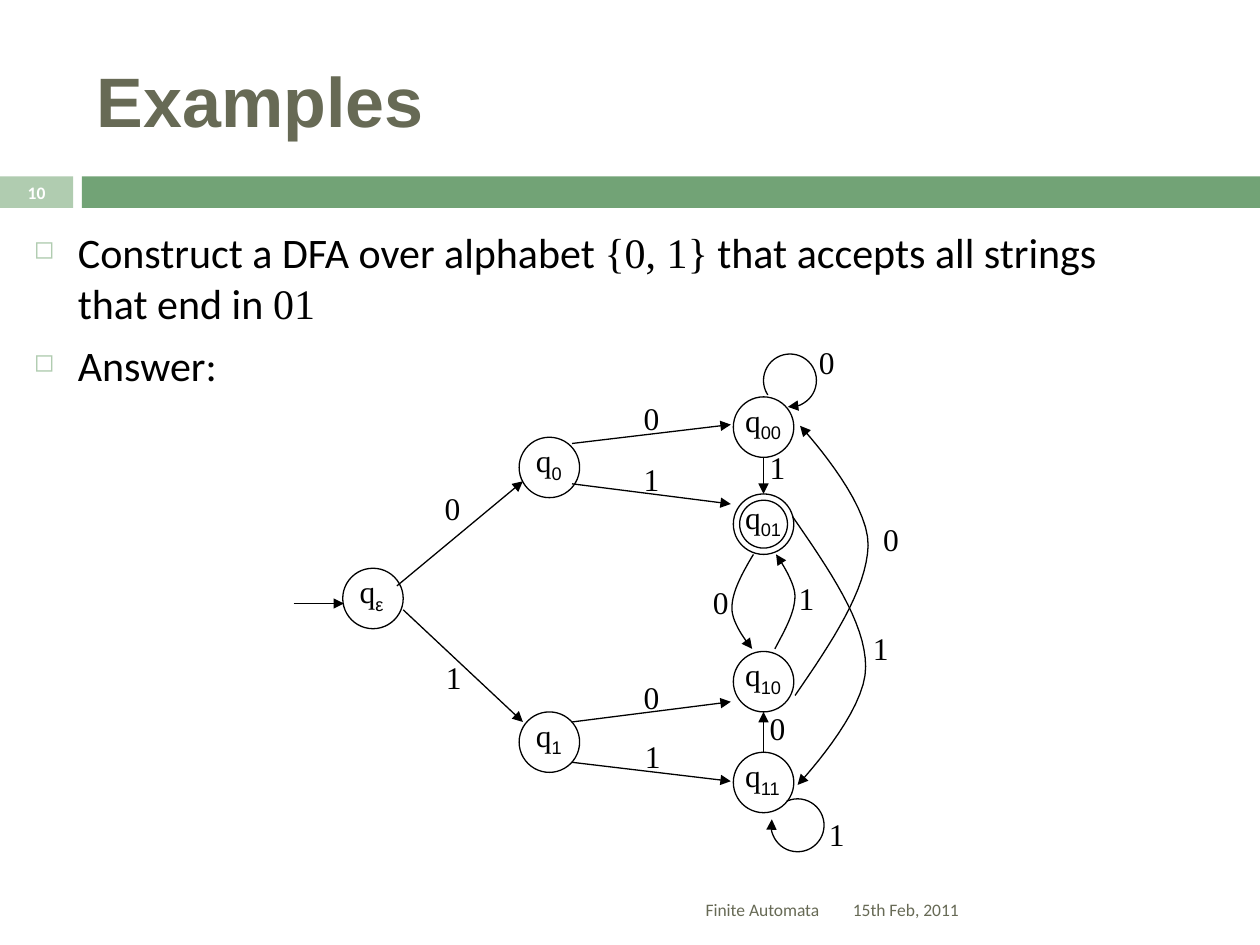
from dataclasses import dataclass

from lxml import etree
from pptx import Presentation
from pptx import util as u
from pptx.dml.color import RGBColor
from pptx.enum import shapes, text
from pptx.oxml.ns import qn


@dataclass(frozen=True)
class Theme:
    """Colours, fonts and type sizes of the slide."""
    ink: str = "000000"
    paper: str = "FFFFFF"
    olive: str = "676A55"
    green: str = "72A376"
    pale: str = "B0CCB0"
    sans: str = "Calibri"
    serif: str = "Times New Roman"
    head: str = "Arial"
    title: int = 40
    body: int = 24
    label: int = 18
    small: int = 10
    hairline: float = 0.75


T = Theme()
W, H = u.Inches(10), u.Inches(7.5)
COLS, ROWS = 100, 75
NODE, INNER = 4.8, 3.8
LOOP = 4.2

NODES = {
    "ε": (29.6, 47.5), "0": (43.6, 37.1), "1": (43.6, 58.9),
    "00": (60.6, 33.9), "01": (60.6, 41.6),
    "10": (60.6, 54.1), "11": (60.6, 62.1),
}
STRAIGHT = [
    ((23.3, 47.9), (27.3, 47.9), None, None),
    ((31.5, 46.5), (41.5, 38.2), "0", (34.3, 38.3)),
    ((32, 48.4), (41.5, 57.3), "1", (34.4, 51.7)),
    ((45.4, 35.2), (58, 33.7), "0", (50.1, 31.2)),
    ((45.4, 38.4), (58, 40), "1", (50.1, 36)),
    ((45.4, 57.3), (58, 55.7), "0", (50.1, 53.3)),
    ((45.4, 60.5), (58, 62), "1", (50.2, 58)),
    ((60.6, 36.3), (60.6, 39.2), "1", (60.1, 35.1)),
    ((60.6, 59.8), (60.6, 56.5), "0", (60.1, 55.8)),
]
CURVED = [
    ([(61.5, 51.5), (62.3, 50), (63.1, 48.6), (63.1, 47.3),
      (63.1, 46.1), (61.6, 44), (61.6, 44)], "1", (62.4, 45.5)),
    ([(59.8, 44), (58.9, 45.5), (58.1, 47), (58.1, 48.2),
      (58, 49.5), (59.7, 51.5), (59.7, 51.5)], "0", (55.6, 45.8)),
    ([(62.9, 41), (65.8, 45.2), (68.7, 49.4), (68.7, 52.9),
      (68.8, 56.5), (63.3, 62.3), (63.3, 62.3)], "1", (68.3, 49.4)),
    ([(63.1, 55.2), (66, 51), (68.8, 46.8), (68.9, 43.3),
      (69, 39.7), (63.5, 33.8), (63.5, 33.8)], "0", (69.1, 40.8)),
]
LOOPS = [((60.6, 28.1), 329.8, "0", (64, 26.7)),
         ((61.2, 63.4), 68.4, "1", (64.8, 64.2))]


def x(cols):
    """Turn grid columns into a length."""
    return int(W * cols / COLS)


def y(rows):
    """Turn grid rows into a length."""
    return int(H * rows / ROWS)


def rgb(code):
    """Turn a hex code into a colour."""
    return RGBColor.from_string(code)


def style(sp, fill=None, line=None):
    """Set the fill and line of a shape and drop its shadow."""
    sp.shadow.inherit = False
    if fill:
        sp.fill.solid()
        sp.fill.fore_color.rgb = rgb(fill)
    else:
        sp.fill.background()
    if line:
        sp.line.color.rgb = rgb(line)
        sp.line.width = u.Pt(T.hairline)
    else:
        sp.line.fill.background()
    return sp


def arrowhead(sp):
    """Put a triangle at the end of a line."""
    etree.SubElement(sp.line._get_or_add_ln(), qn("a:tailEnd"), type="triangle")


def shape(s, kind, left, top, width, height, **look):
    """Add a preset shape on the grid."""
    return style(s.shapes.add_shape(kind, x(left), y(top), x(width), y(height)), **look)


def add_run(p, words, size, font=T.sans, color=T.ink, bold=False, sub=False):
    """Add a formatted run to a paragraph."""
    r = p.add_run()
    r.text = words
    f = r.font
    f.size, f.name, f.bold = u.Pt(size), font, bold
    f.color.rgb = rgb(color)
    if sub:
        f._element.set("baseline", "-25000")


def text_box(s, left, top, width, height, wrap=True, anchor=text.MSO_ANCHOR.TOP):
    """Add an empty text box and return its frame."""
    tf = s.shapes.add_textbox(x(left), y(top), x(width), y(height)).text_frame
    tf.word_wrap, tf.vertical_anchor = wrap, anchor
    if not wrap:
        tf.auto_size = text.MSO_AUTO_SIZE.SHAPE_TO_FIT_TEXT
    return tf


def caption(s, box, words, align=text.PP_ALIGN.LEFT, **look):
    """Add one vertically centred line of text."""
    p = text_box(s, *box, anchor=text.MSO_ANCHOR.MIDDLE).paragraphs[0]
    p.alignment = align
    add_run(p, words, **look)


def label(s, words, left, top, width=3.2, sub=None):
    """Add a diagram label with an optional subscript."""
    p = text_box(s, left, top, width, 4, wrap=False).paragraphs[0]
    add_run(p, words, T.label, T.serif)
    if sub:
        add_run(p, sub, T.label, T.head, sub=True)


def bullet(p, runs, before=0):
    """Fill a paragraph as a square-bulleted item."""
    pPr = p._p.get_or_add_pPr()
    pPr.set("marL", str(x(3.5)))
    pPr.set("indent", str(-x(3.5)))
    etree.SubElement(etree.SubElement(pPr, qn("a:buClr")), qn("a:srgbClr"), val=T.pale)
    etree.SubElement(pPr, qn("a:buSzPct"), val="60000")
    etree.SubElement(pPr, qn("a:buChar"), char="◻")
    p.space_before = u.Pt(before)
    for words, font in runs:
        add_run(p, words, T.body, font)


def state(s, name, center):
    """Draw a state circle with its name."""
    cx, cy = center
    sizes = [(NODE, T.paper)] + ([(INNER, None)] if name == "01" else [])
    for d, fill in sizes:
        shape(s, shapes.MSO_SHAPE.OVAL, cx - d / 2, cy - d / 2, d, d, fill=fill, line=T.ink)
    width = 4.9 if len(name) == 2 else 4.1
    label(s, "q", cx - width / 2, cy - 2.6, width, sub=name)


def straight(s, start, end):
    """Draw a straight arrow."""
    c = s.shapes.add_connector(shapes.MSO_CONNECTOR.STRAIGHT,
                               x(start[0]), y(start[1]), x(end[0]), y(end[1]))
    c.line.color.rgb = rgb(T.ink)
    c.line.width = u.Pt(T.hairline)
    etree.SubElement(c._element.spPr, qn("a:effectLst"))
    arrowhead(c)


def bezier(p0, p1, p2, p3, steps=16):
    """Return points along one cubic curve, without its start."""
    ts = [i / steps for i in range(1, steps + 1)]
    return [tuple((1 - t) ** 3 * a + 3 * (1 - t) ** 2 * t * b + 3 * (1 - t) * t * t * c + t ** 3 * d
                  for a, b, c, d in zip(p0, p1, p2, p3)) for t in ts]


def curved(s, knots):
    """Draw a curved arrow of two joined cubic curves."""
    points = bezier(*knots[:4]) + bezier(*knots[3:])
    fb = s.shapes.build_freeform(x(knots[0][0]), y(knots[0][1]))
    fb.add_line_segments([(x(a), y(b)) for a, b in points], close=False)
    arrowhead(style(fb.convert_to_shape(), line=T.ink))


def loop(s, corner, angle):
    """Draw a self-loop arrow."""
    sp = shape(s, shapes.MSO_SHAPE.ARC, *corner, LOOP, LOOP, line=T.ink)
    sp.adjustments[0], sp.adjustments[1] = 106.295, 74.775
    sp.rotation = angle
    arrowhead(sp)


def main():
    """Build the slide and save it."""
    prs = Presentation()
    prs.slide_width, prs.slide_height = W, H
    s = prs.slides.add_slide(prs.slide_layouts[6])
    for left, width, fill in [(0, 5.8, T.pale), (6.5, 93.5, T.green)]:
        shape(s, shapes.MSO_SHAPE.RECTANGLE, left, 14, width, 2.5, fill=fill)
    caption(s, (6.7, 2.5, 89.2, 10.8), "Examples", size=T.title, font=T.head,
            color=T.olive, bold=True)
    tf = text_box(s, 1.7, 17.5, 91.4, 19.5)
    bullet(tf.paragraphs[0], [("Construct a DFA over alphabet ", T.sans), ("{0, 1}", T.serif),
                              (" that accepts all strings that end in ", T.sans), ("01", T.serif)])
    bullet(tf.add_paragraph(), [("Answer:", T.sans)], before=7)
    for name, center in NODES.items():
        state(s, name, center)
    for draw, edges in [(straight, STRAIGHT), (curved, CURVED), (loop, LOOPS)]:
        for *route, symbol, spot in edges:
            draw(s, *route)
            if symbol:
                label(s, symbol, *spot)
    caption(s, (66.7, 70.2, 29.2, 4), "15th Feb, 2011", size=T.small, color=T.olive)
    caption(s, (0, 13.9, 5.8, 2.7), "10", text.PP_ALIGN.CENTER, size=T.small,
            color=T.paper, bold=True)
    caption(s, (6.7, 70.2, 59.3, 4), "Finite Automata", text.PP_ALIGN.RIGHT,
            size=T.small, color=T.olive)
    prs.save("out.pptx")


if __name__ == "__main__":
    main()
